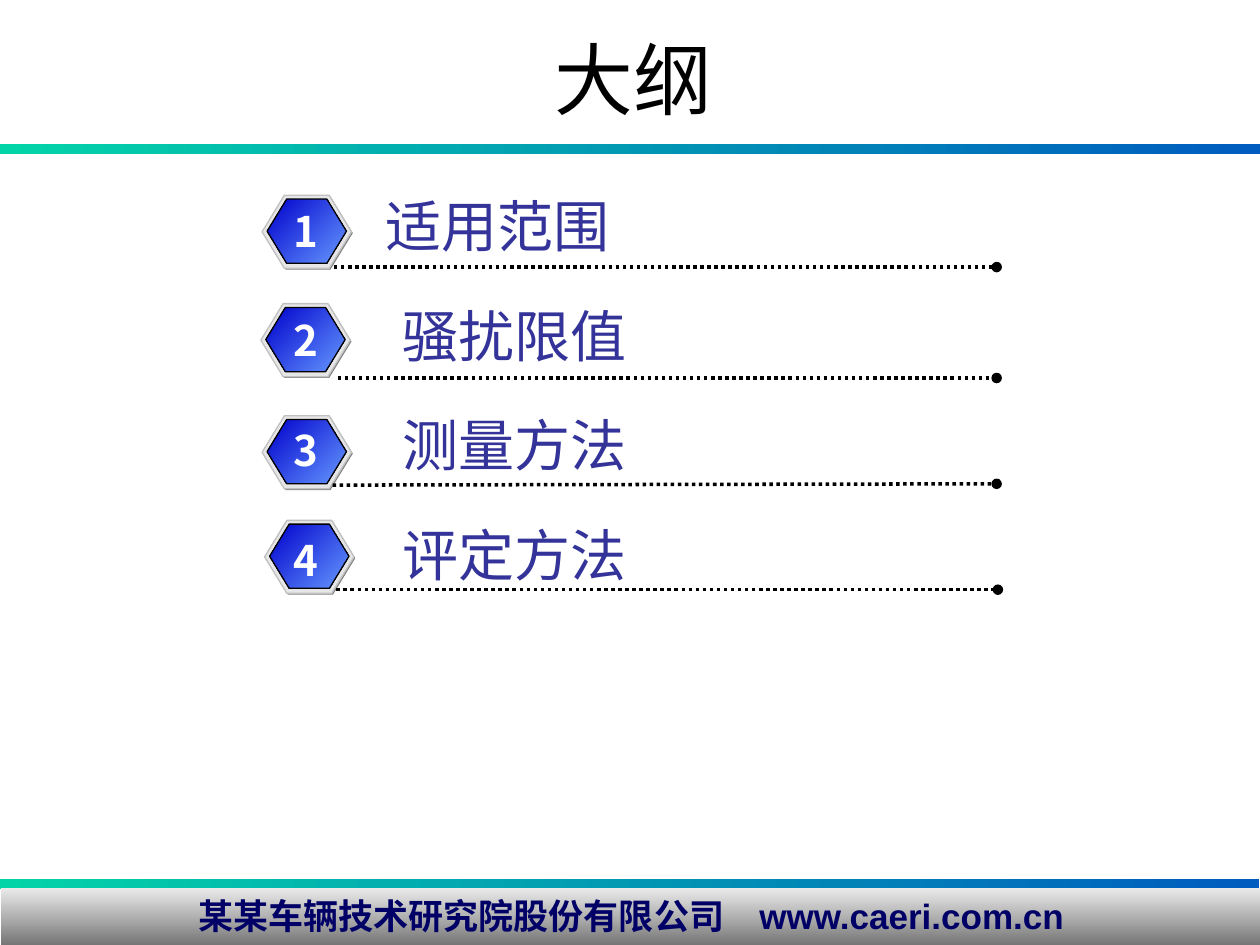
from lxml.etree import SubElement
from pptx import Presentation
from pptx.dml.color import RGBColor
from pptx.enum.dml import MSO_LINE
from pptx.enum.shapes import MSO_CONNECTOR, MSO_SHAPE
from pptx.enum.text import MSO_ANCHOR, PP_ALIGN
from pptx.oxml.ns import qn
from pptx.util import Inches, Pt

BLACK = RGBColor(0x00, 0x00, 0x00)
WHITE = RGBColor(0xFF, 0xFF, 0xFF)
NAVY = RGBColor(0x00, 0x00, 0x66)
INDIGO = RGBColor(0x33, 0x33, 0x99)
TEAL = RGBColor(0x03, 0xD4, 0xA8)
BLUE = RGBColor(0x00, 0x5C, 0xBF)
BADGE_DARK = RGBColor(0x00, 0x00, 0xCC)
BADGE_LIGHT = RGBColor(0x66, 0x99, 0xFF)
SHADOW_GRAY = RGBColor(0x80, 0x80, 0x80)
RIM_GRAY = RGBColor(0xE6, 0xE6, 0xE6)
RIM_LINE = RGBColor(0xC0, 0xC0, 0xC0)
FOOTER_LIGHT = RGBColor(0xEA, 0xEA, 0xEA)
FOOTER_DARK = RGBColor(0x6C, 0x6C, 0x6C)
CJK_FONT = "Noto Sans CJK SC"

# label, label left, badge left, badge top, rule start (x, y), rule end (x, y)
TOPICS = [
    ("适用范围", 2.96, 2.08, 1.55, (2.65, 2.12), (7.91, 2.12)),
    ("骚扰限值", 3.1, 2.07, 2.41, (2.68, 3), (7.91, 3)),
    ("测量方法", 3.1, 2.08, 3.3, (2.64, 3.85), (7.91, 3.84)),
    ("评定方法", 3.1, 2.1, 4.13, (2.67, 4.68), (7.92, 4.68)),
]
ROW_STEP = 0.87


def write_text(shape, text, size, color, font=CJK_FONT, bold=False,
               align=PP_ALIGN.LEFT, anchor=MSO_ANCHOR.TOP, wrap=True):
    frame = shape.text_frame
    frame.word_wrap = wrap
    frame.vertical_anchor = anchor
    para = frame.paragraphs[0]
    para.alignment = align
    span = para.add_run()
    span.text = text
    span.font.size = Pt(size)
    span.font.bold = bold
    span.font.color.rgb = color
    span.font.name = font
    SubElement(span.font._element, qn("a:ea"), typeface=font)


def add_text(page, box, text, **text_format):
    shape = page.shapes.add_textbox(*map(Inches, box))
    write_text(shape, text, **text_format)


def add_filled(page, kind, box, colors, angle=0, outline=None):
    """Fill with one colour, or with a gradient turned clockwise by angle."""
    shape = page.shapes.add_shape(kind, *map(Inches, box))
    shape.shadow.inherit = False
    if len(colors) == 1:
        shape.fill.solid()
        shape.fill.fore_color.rgb = colors[0]
    else:
        shape.fill.gradient()
        shape.fill.gradient_angle = (360 - angle) % 360
        for stop, color in zip(shape.fill.gradient_stops, colors):
            stop.color.rgb = color
    if outline is None:
        shape.line.fill.background()
    else:
        shape.line.color.rgb = outline
        shape.line.width = Pt(0.75)
    return shape


def add_band(page, box):
    add_filled(page, MSO_SHAPE.RECTANGLE, box, [TEAL, BLUE])


def add_title(page, box):
    add_text(page, box, "大纲", size=45, color=BLACK,
             align=PP_ALIGN.CENTER, anchor=MSO_ANCHOR.MIDDLE)


def add_footer(page, box):
    bar = add_filled(page, MSO_SHAPE.RECTANGLE, box, [FOOTER_LIGHT, FOOTER_DARK], 90)
    write_text(bar, "某某车辆技术研究院股份有限公司　www.caeri.com.cn", size=20,
               color=NAVY, font="Arial", bold=True, align=PP_ALIGN.CENTER)


def add_badge(page, left, top):
    layers = [
        ((left + 0.01, top + 0.01, 0.71, 0.58), [SHADOW_GRAY], None),
        ((left, top, 0.71, 0.58), [RIM_GRAY], RIM_LINE),
        ((left + 0.04, top + 0.03, 0.63, 0.51), [BADGE_DARK, BADGE_LIGHT], BLACK),
    ]
    for box, colors, outline in layers:
        hexagon = add_filled(page, MSO_SHAPE.HEXAGON, box, colors, 45, outline)
        hexagon.adjustments[0] = 0.305


def add_dotted_rule(page, start, end):
    rule = page.shapes.add_connector(MSO_CONNECTOR.STRAIGHT,
                                     *map(Inches, (*start, *end)))
    rule.line.color.rgb = BLACK
    rule.line.width = Pt(2)
    rule.line.dash_style = MSO_LINE.ROUND_DOT
    SubElement(rule.line._get_or_add_ln(), qn("a:tailEnd"), type="oval")
    SubElement(rule._element.spPr, qn("a:effectLst"))


def add_outline(page, left, top):
    """Place the numbered topics; left and top locate the first number."""
    for index, (label, label_left, badge_left, badge_top, start, end) in enumerate(TOPICS):
        row_top = top + index * ROW_STEP
        add_badge(page, badge_left, badge_top)
        add_dotted_rule(page, start, end)
        add_text(page, (label_left, row_top - 0.11, 4.27, 0.64), label,
                 size=32, color=INDIGO)
        add_text(page, (left, row_top, 0.39, 0.5), str(index + 1), size=24,
                 color=WHITE, bold=True, align=PP_ALIGN.CENTER, wrap=False)


def main():
    deck = Presentation()
    deck.slide_width, deck.slide_height = Inches(10), Inches(7.5)
    page = deck.slides.add_slide(deck.slide_layouts[6])
    add_band(page, (0, 6.98, 9.99, 0.08))
    add_band(page, (0, 1.14, 10, 0.08))
    add_footer(page, (0.01, 7.05, 10, 0.49))
    add_title(page, (0.16, 0.16, 9.73, 0.92))
    add_outline(page, 2.23, 1.58)
    deck.save("out.pptx")


if __name__ == "__main__":
    main()
